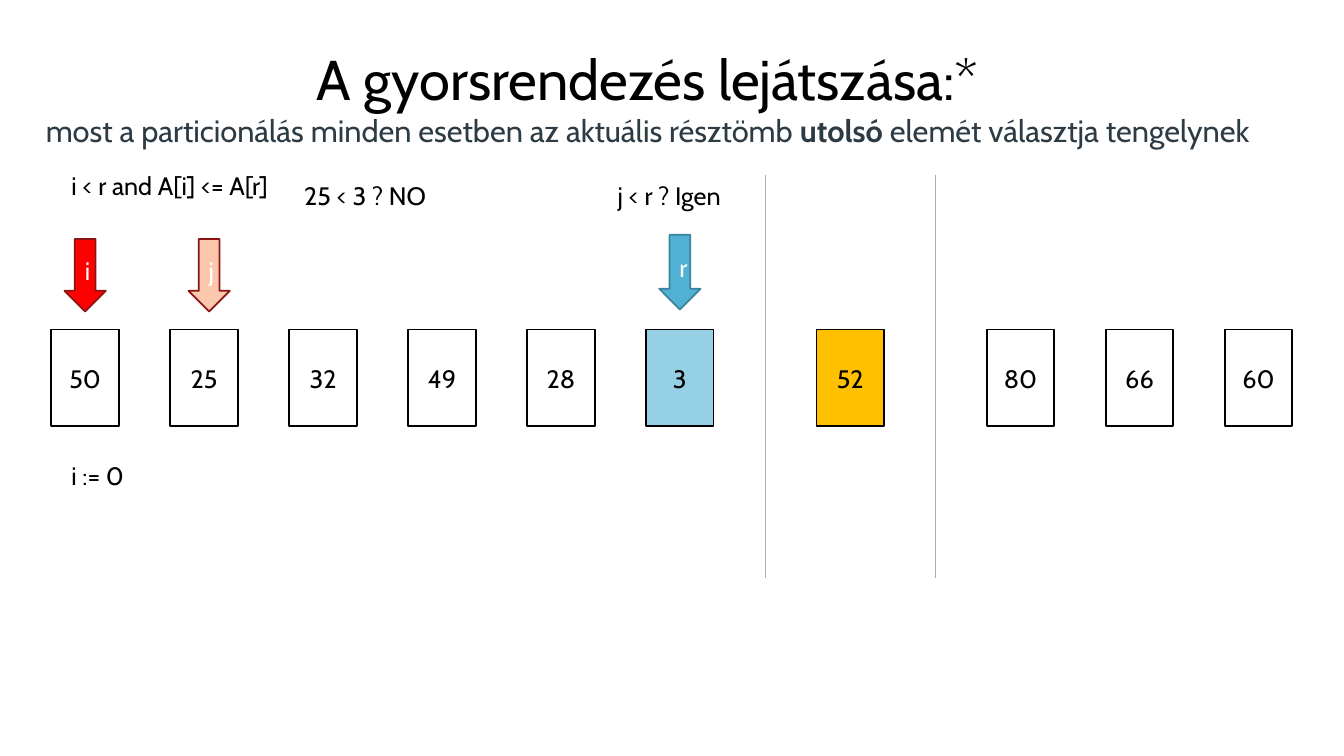
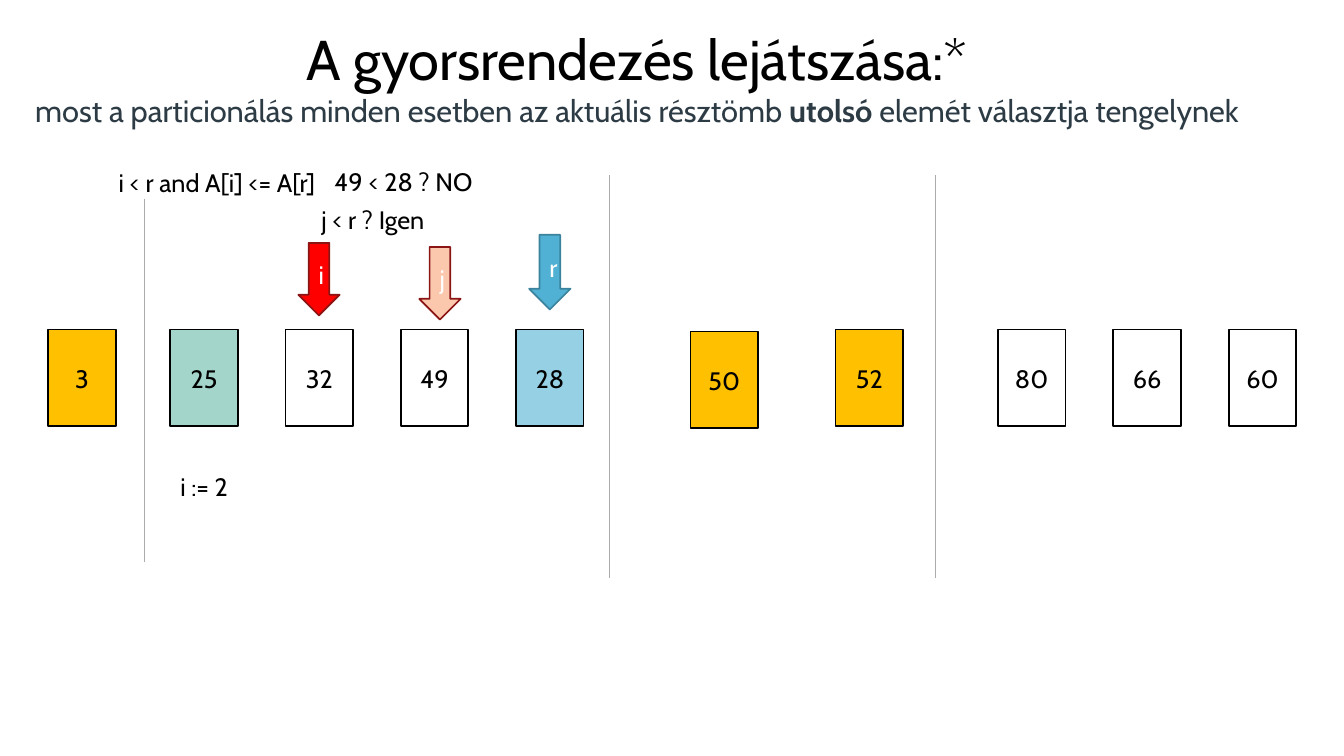
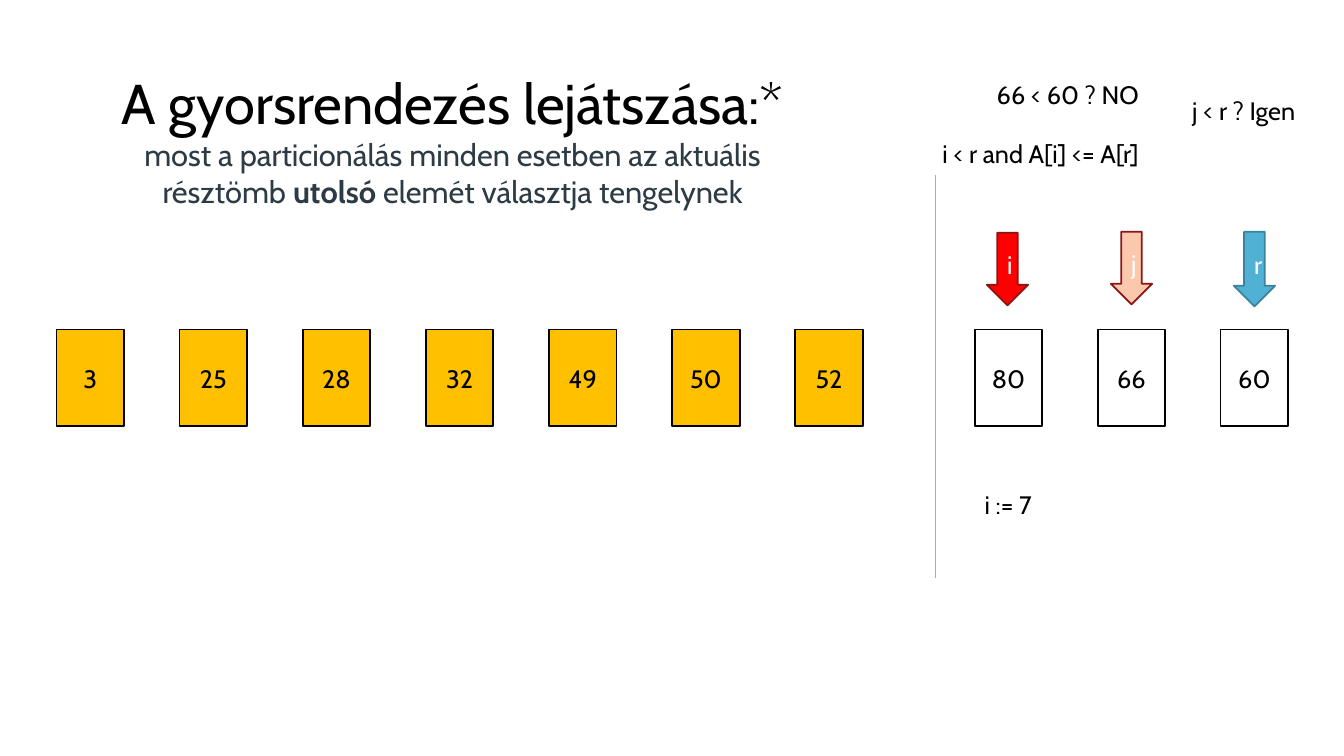
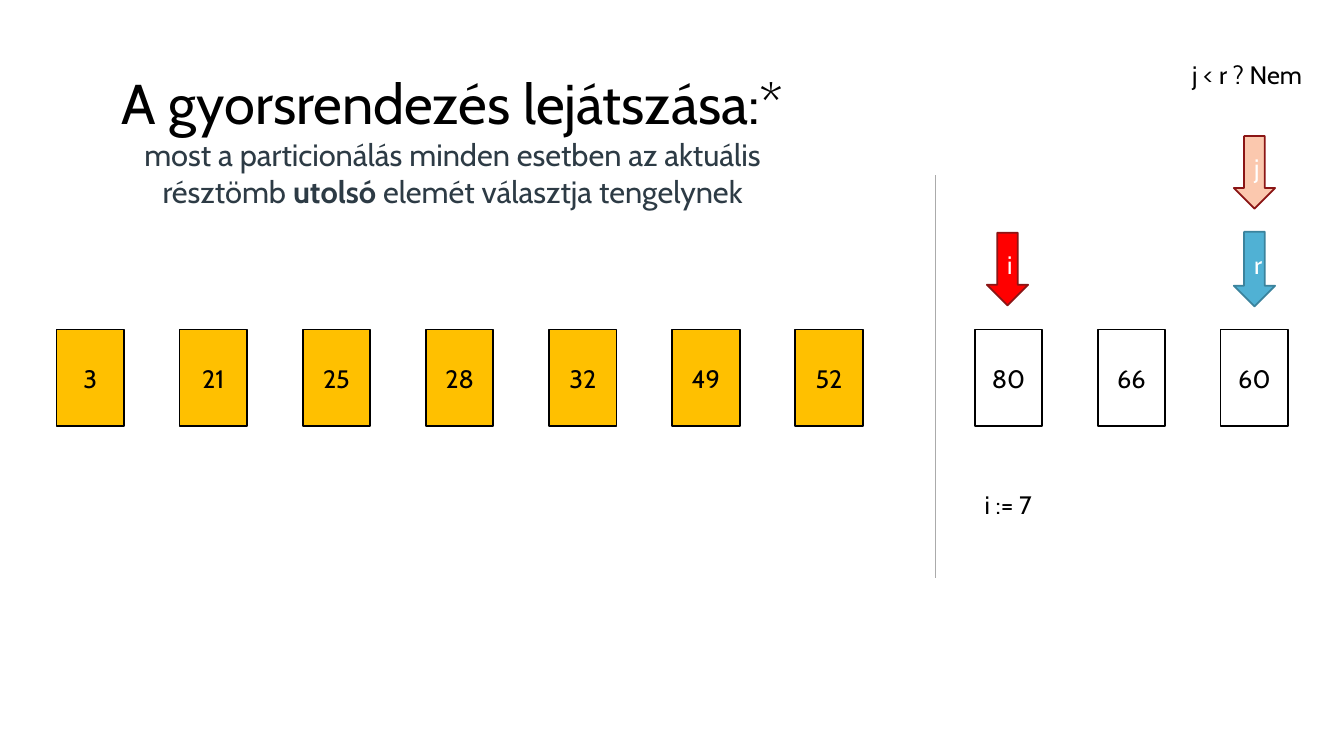
from lxml.etree import SubElement
from pptx import Presentation
from pptx.dml.color import RGBColor
from pptx.enum.shapes import MSO_CONNECTOR, MSO_SHAPE
from pptx.enum.text import MSO_ANCHOR, MSO_AUTO_SIZE, PP_ALIGN
from pptx.oxml.ns import qn
from pptx.util import Pt

PX = 9144  # 100 px to the inch
FONT = "Cabin"
NBSP = chr(160)
COLORS = {
    "text": "000000", "subtitle": "2D3B45", "divider": "ABABAB", "white": "FFFFFF",
    "open": "FFFFFF", "pivot": "96D0E5", "smaller": "A4D5CA", "done": "FFC000",
}
# pointer: fill, line, height
POINTERS = {
    "i": ("FF0000", "8B1515", 72),
    "j": ("FBC8AE", "8B1515", 72),
    "r": ("50B1D4", "3B839D", 74),
}
CARD_W, CARD_H, CARD_TOP = 67, 96, 327
POINTER_W = 41
LABEL_H = 40

HEADING = "A gyorsrendezés lejátszása:*"
SUBTITLE = [
    (f"most a particionálás minden esetben az aktuális résztömb{NBSP}", False),
    ("utolsó", True),
    (f"{NBSP}elemét választja tengelynek", False),
]
LOOP_TEST = "i < r and A[i] <= A[r]"
RIGHT_DIVIDER = (928, 174, 573)
LAST_OPEN = (967, 1211, CARD_TOP, [80, 66, 60])

# groups: first left, last left, top, values; fills: cards that are not open
# pointers: left, top; dividers: x, top, bottom; labels: text, left, top, width
STEPS = [
    {
        "title": (33, 18, 1219, 156),
        "groups": [(51, 641, CARD_TOP, [50, 25, 32, 49, 28, 3]),
                   (810, 810, CARD_TOP, [52]),
                   (979, 1215, CARD_TOP, [80, 66, 60])],
        "fills": {3: "pivot", 52: "done"},
        "pointers": {"i": (64, 237), "j": (187, 237), "r": (654, 233)},
        "dividers": [RIGHT_DIVIDER, (759, 174, 573)],
        "labels": [("i := 0", 61, 452, 161), ("25 < 3 ? NO", 292, 174, 226),
                   ("j < r ? Igen", 603, 174, 144), (LOOP_TEST, 61, 164, 228)],
    },
    {
        "title": (12, -2, 1240, 156),
        "groups": [(48, 48, CARD_TOP, [3]),
                   (169, 512, CARD_TOP, [25, 32, 49, 28]),
                   (685, 685, CARD_TOP + 2, [50]),
                   (829, 829, CARD_TOP, [52]),
                   (990, 1219, CARD_TOP, [80, 66, 60])],
        "fills": {3: "done", 25: "smaller", 28: "pivot", 50: "done", 52: "done"},
        "pointers": {"i": (296, 241), "j": (416, 245), "r": (525, 233)},
        "dividers": [RIGHT_DIVIDER, (605, 174, 573), (143, 197, 558)],
        "labels": [("i := 2", 169, 463, 161), ("49 < 28 ? NO", 322, 160, 226),
                   ("j < r ? Igen", 309, 198, 144), (LOOP_TEST, 108, 161, 257)],
    },
    {
        "title": (0, 17, 898, 242),
        "groups": [(56, 789, CARD_TOP, [3, 25, 28, 32, 49, 50, 52]), LAST_OPEN],
        "fills": dict.fromkeys([3, 25, 28, 32, 49, 50, 52], "done"),
        "pointers": {"i": (979, 231), "j": (1102, 230), "r": (1224, 230)},
        "dividers": [RIGHT_DIVIDER],
        "labels": [("i := 7", 967, 481, 161), ("66 < 60 ? NO", 979, 74, 226),
                   ("j < r ? Igen", 1173, 90, 144), (LOOP_TEST, 925, 132, 230)],
    },
    {
        "title": (0, 17, 898, 242),
        "groups": [(56, 789, CARD_TOP, [3, 21, 25, 28, 32, 49, 52]), LAST_OPEN],
        "fills": dict.fromkeys([3, 21, 25, 28, 32, 49, 52], "done"),
        "pointers": {"i": (979, 231), "j": (1224, 135), "r": (1224, 230)},
        "dividers": [RIGHT_DIVIDER],
        "labels": [("i := 7", 967, 481, 161), ("j < r ? Nem", 1173, 54, 144)],
    },
]


def emu(*lengths):
    return [round(length * PX) for length in lengths]


def set_font(font, size, color):
    font.name = FONT
    font.size = Pt(size)
    font.color.rgb = RGBColor.from_string(color)


def add_title(slide, box):
    title = slide.shapes.title
    title.left, title.top, title.width, title.height = emu(*box)
    frame = title.text_frame
    frame.word_wrap = True
    frame.auto_size = MSO_AUTO_SIZE.NONE
    frame.vertical_anchor = MSO_ANCHOR.MIDDLE
    paragraph = frame.paragraphs[0]
    paragraph.alignment = PP_ALIGN.CENTER
    heading = paragraph.add_run()
    heading.text = HEADING
    set_font(heading.font, 40, COLORS["text"])
    paragraph.add_line_break()
    for text, bold in SUBTITLE:
        part = paragraph.add_run()
        part.text = text
        set_font(part.font, 22, COLORS["subtitle"])
        part.font.bold = bold


def add_block(slide, preset, box, text, fill, line, color):
    """Add a filled, outlined shape with centred text."""
    block = slide.shapes.add_shape(preset, *emu(*box))
    block.shadow.inherit = False
    block.fill.solid()
    block.fill.fore_color.rgb = RGBColor.from_string(fill)
    block.line.color.rgb = RGBColor.from_string(line)
    block.line.width = Pt(1.25)
    frame = block.text_frame
    frame.text = text
    frame.vertical_anchor = MSO_ANCHOR.MIDDLE
    frame.paragraphs[0].alignment = PP_ALIGN.CENTER
    set_font(frame.paragraphs[0].font, 18, color)


def add_cards(slide, groups, fills):
    for first, last, top, values in groups:
        pitch = (last - first) / max(len(values) - 1, 1)
        for index, value in enumerate(values):
            box = (first + index * pitch, top, CARD_W, CARD_H)
            add_block(slide, MSO_SHAPE.RECTANGLE, box, str(value),
                      COLORS[fills.get(value, "open")], COLORS["text"], COLORS["text"])


def add_pointers(slide, pointers):
    for letter, (left, top) in pointers.items():
        fill, line, height = POINTERS[letter]
        add_block(slide, MSO_SHAPE.DOWN_ARROW, (left, top, POINTER_W, height),
                  letter, fill, line, COLORS["white"])


def add_divider(slide, x, top, bottom):
    divider = slide.shapes.add_connector(MSO_CONNECTOR.STRAIGHT, *emu(x, top, x, bottom))
    divider.line.color.rgb = RGBColor.from_string(COLORS["divider"])
    divider.line.width = Pt(0.75)
    SubElement(divider._element.spPr, qn("a:effectLst"))


def add_label(slide, text, left, top, width):
    frame = slide.shapes.add_textbox(*emu(left, top, width, LABEL_H)).text_frame
    frame.word_wrap = True
    frame.auto_size = MSO_AUTO_SIZE.SHAPE_TO_FIT_TEXT
    frame.text = text
    set_font(frame.paragraphs[0].font, 18, COLORS["text"])


def main():
    deck = Presentation()
    deck.slide_width, deck.slide_height = emu(1333.33, 750)
    title_only = deck.slide_layouts[5]
    for step in STEPS:
        slide = deck.slides.add_slide(title_only)
        add_title(slide, step["title"])
        add_cards(slide, step["groups"], step["fills"])
        add_pointers(slide, step["pointers"])
        for divider in step["dividers"]:
            add_divider(slide, *divider)
        for label in step["labels"]:
            add_label(slide, *label)
    deck.save("out.pptx")


if __name__ == "__main__":
    main()
